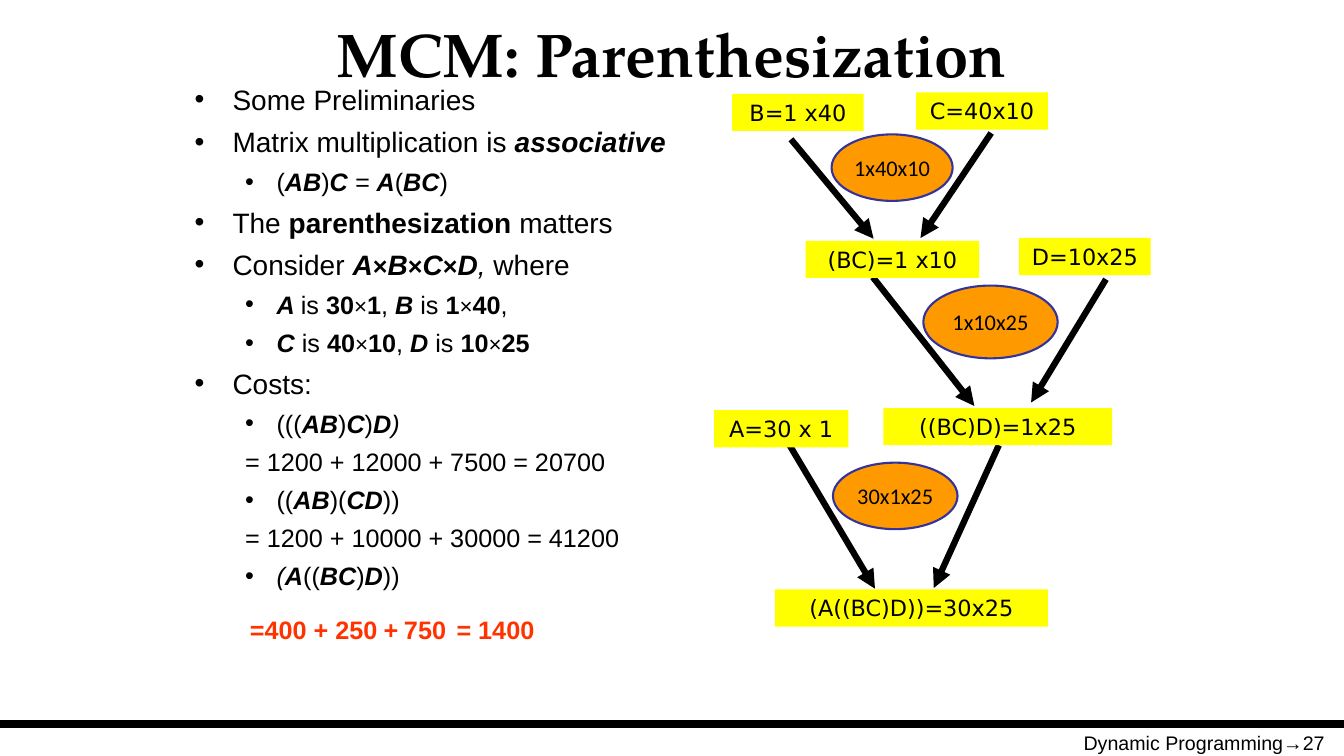
from itertools import groupby

from lxml.etree import SubElement
from pptx import Presentation
from pptx.dml.color import RGBColor
from pptx.enum.shapes import MSO_CONNECTOR, MSO_SHAPE
from pptx.enum.text import MSO_ANCHOR, PP_ALIGN
from pptx.oxml.ns import qn
from pptx.util import Pt

COLORS = {"black": "000000", "yellow": "FFFF00", "orange": "FF9900",
          "navy": "333399", "red": "FF3300"}
WIDTH, HEIGHT = 960, 540
LABEL_HEIGHT = 26.6

# Outline entries: level, has bullet, text; * toggles bold, _ toggles italic
OUTLINE = [
    (0, True, "Some Preliminaries"),
    (0, True, "Matrix multiplication is *_associative_*"),
    (1, True, "(*_AB_*)*_C_* _= *A*_(*_BC_*)"),
    (0, True, "The *parenthesization* matters"),
    (0, True, "Consider *_A_×_B_×_C_×_D_*_, _where"),
    (1, True, "*_A _*is *30*×*1*, *_B _*is *1*×*40*,"),
    (1, True, "*_C _*is *40*×*10*, *_D _*is *10*×*25*"),
    (0, True, "Costs:"),
    (1, True, "(((*_AB_*)*_C_*)*_D*)_"),
    (1, False, "= 1200 + 12000 + 7500 = 20700"),
    (1, True, "((*_AB_*)(*_CD_*))"),
    (1, False, "= 1200 + 10000 + 30000 = 41200"),
    (1, True, "_(*A*_((*_BC_*)*_D_*))"),
]
# Per level: size, left margin, hanging indent, space before
LEVELS = [(20, 27, 27, 11), (18, 58.5, 22.5, 10)]

# Diagram parts, relative to the corner of its box
MATRICES = [  # left, top, width, text
    (13, 1, 94, "B=1 x40"),
    (144.5, 0, 94, "C=40x10"),
    (65.5, 106, 124, "(BC)=1 x10"),
    (218, 104, 94, "D=10x25"),
    (121, 225.5, 163.5, "((BC)D)=1x25"),
    (0, 227, 96, "A=30 x 1"),
    (43.5, 355, 195, "(A((BC)D))=30x25"),
]
COSTS = [  # left, top, width, height, text
    (84, 30, 86.5, 47.5, "1x40x10"),
    (149.5, 138, 96, 52, "1x10x25"),
    (85, 264.5, 89, 47.5, "30x1x25"),
]
ARROWS = [  # start, end
    (55, 33.5, 114, 104.5),
    (198, 29, 147.5, 104),
    (113.5, 132, 186, 224),
    (280, 133.5, 226.5, 221.5),
    (54, 252, 115, 354.5),
    (203.5, 252, 157, 354),
]
TOTAL_TERMS = [(0, "=400"), (45.5, "+"), (61, "250"),
               (95.5, "+"), (110, "750"), (147.5, "= 1400")]


def color(name):
    return RGBColor.from_string(COLORS[name])


def set_font(font, name, size, bold=False, ink="black"):
    font.name, font.size, font.bold = name, Pt(size), bold
    font.color.rgb = color(ink)


def add_text(slide, box, text, font, align=PP_ALIGN.LEFT, anchor=MSO_ANCHOR.TOP):
    shape = slide.shapes.add_textbox(*map(Pt, box))
    frame = shape.text_frame
    frame.word_wrap, frame.vertical_anchor = True, anchor
    paragraph = frame.paragraphs[0]
    paragraph.text, paragraph.alignment = text, align
    set_font(paragraph.font, *font)


def add_line(slide, ends, width, arrow=False):
    line = slide.shapes.add_connector(MSO_CONNECTOR.STRAIGHT, *map(Pt, ends))
    line.line.color.rgb, line.line.width = color("black"), Pt(width)
    if arrow:
        SubElement(line.line._get_or_add_ln(), qn("a:tailEnd"), type="triangle")
    SubElement(line._element.spPr, qn("a:effectLst"))


def add_node(slide, kind, box, text, font_name, fill, outline=None):
    shape = slide.shapes.add_shape(kind, *map(Pt, box))
    shape.shadow.inherit = False
    shape.fill.solid()
    shape.fill.fore_color.rgb = color(fill)
    if outline:
        shape.line.color.rgb, shape.line.width = color(outline), Pt(1.5)
    else:
        shape.line.fill.background()
    frame = shape.text_frame
    frame.word_wrap, frame.vertical_anchor = False, MSO_ANCHOR.MIDDLE
    paragraph = frame.paragraphs[0]
    paragraph.text, paragraph.alignment = text, PP_ALIGN.CENTER
    set_font(paragraph.font, font_name, 16)


def styled_characters(markup):
    bold = italic = False
    for character in markup:
        if character == "*":
            bold = not bold
        elif character == "_":
            italic = not italic
        else:
            yield character, (bold, italic, character == "×")


def add_outline(slide, left, top, width, height):
    frame = slide.shapes.add_textbox(*map(Pt, (left, top, width, height))).text_frame
    frame.word_wrap = True
    for index, (level, bullet, markup) in enumerate(OUTLINE):
        size, margin, hanging, space = LEVELS[level]
        paragraph = frame.add_paragraph() if index else frame.paragraphs[0]
        paragraph.level, paragraph.line_spacing = level, 0.8
        paragraph.space_before = Pt(space if index else 0)
        properties = paragraph._p.get_or_add_pPr()
        properties.set("marL", str(Pt(margin)))
        properties.set("indent", str(-Pt(hanging)))
        if bullet:
            SubElement(properties, qn("a:buFont"), typeface="Arial")
            SubElement(properties, qn("a:buChar"), char="•")
        else:
            SubElement(properties, qn("a:buNone"))
        set_font(paragraph.font, "Arial", size)
        for style, group in groupby(styled_characters(markup), key=lambda item: item[1]):
            run = paragraph.add_run()
            run.text = "".join(character for character, _ in group)
            run.font.bold, run.font.italic, small = style
            if small:
                run.font.size = Pt(size - 2)


def add_total(slide, left, top):
    for offset, term in TOTAL_TERMS:
        width = 24 if term == "+" else 96 if " " in term else 66
        add_text(slide, (left + offset, top, width, 29), term, ("Arial", 18, True, "red"))


def add_diagram(slide, left, top):
    for x1, y1, x2, y2 in ARROWS:
        add_line(slide, (left + x1, top + y1, left + x2, top + y2), 4.5, arrow=True)
    for x, y, width, height, text in COSTS:
        add_node(slide, MSO_SHAPE.OVAL, (left + x, top + y, width, height),
                 text, "Calibri", "orange", "navy")
    for x, y, width, text in MATRICES:
        add_node(slide, MSO_SHAPE.RECTANGLE, (left + x, top + y, width, LABEL_HEIGHT),
                 text, "DejaVu Sans", "yellow")


def add_footer(slide, top):
    add_line(slide, (0, top, WIDTH, top), 6)
    add_text(slide, (690, top + 1.5, 263.5, 37), "Dynamic Programming→27",
             ("Arial", 14), PP_ALIGN.RIGHT)


def main():
    presentation = Presentation()
    presentation.slide_width, presentation.slide_height = Pt(WIDTH), Pt(HEIGHT)
    slide = presentation.slides.add_slide(presentation.slide_layouts[6])
    add_footer(slide, 517)
    add_text(slide, (5, 5, 950, 66), "MCM: Parenthesization",
             ("TeX Gyre Pagella", 44, True), PP_ALIGN.CENTER, MSO_ANCHOR.MIDDLE)
    add_outline(slide, 132, 60, 360, 447)
    add_diagram(slide, 510, 66)
    add_total(slide, 171.5, 435.5)
    presentation.save("out.pptx")


if __name__ == "__main__":
    main()
